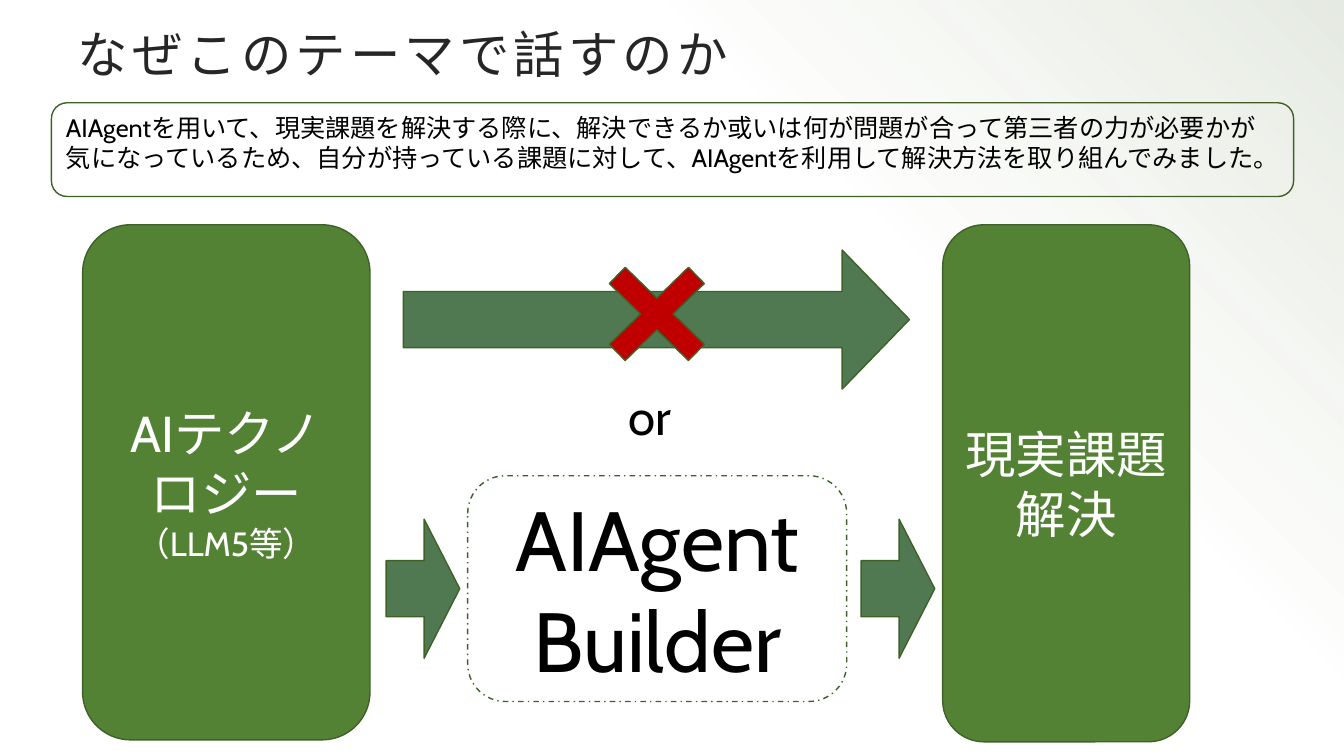
from dataclasses import dataclass, field
from lxml.etree import SubElement
from pptx import Presentation
from pptx.dml.color import RGBColor
from pptx.enum.dml import MSO_LINE
from pptx.enum.shapes import MSO_SHAPE
from pptx.enum.text import MSO_ANCHOR, PP_ALIGN
from pptx.oxml.ns import qn
from pptx.util import Inches, Pt

WIDTH, HEIGHT = Inches(13.33), Inches(7.5)
GREEN, DARK_GREEN, ARROW_GREEN = "548235", "3F6128", "507952"
RED, BLACK, WHITE, GREY = "C00000", "000000", "FFFFFF", "262626"
BOX_TOP, ARROW_HEIGHT = 29.73, 18.4
STEP_TOP, STEP_WIDTH = 68.67, 5.48
ARROW_ADJ = (0.404, 0.484)


@dataclass
class Area:
    left: float
    top: float
    width: float
    height: float

    def emu(self) -> tuple[int, int, int, int]:
        return (int(WIDTH * self.left / 100), int(HEIGHT * self.top / 100),
                int(WIDTH * self.width / 100), int(HEIGHT * self.height / 100))


@dataclass
class Text:
    lines: list[tuple[str, float]]
    color: str = BLACK
    font: str = "Cabin"
    align: PP_ALIGN = PP_ALIGN.LEFT
    anchor: MSO_ANCHOR = MSO_ANCHOR.TOP
    spacing: int = 0


@dataclass
class Block:
    area: Area
    kind: MSO_SHAPE = MSO_SHAPE.ROUNDED_RECTANGLE
    fill: str | None = None
    line: dict = field(default_factory=lambda: {"width": Pt(1)})
    adjustments: tuple[float, ...] = ()
    text: Text | None = None


def rgb(value: str) -> RGBColor:
    return RGBColor.from_string(value)


def apply(target, values: dict) -> None:
    for name, value in values.items():
        setattr(target, name, value)


def write(sp, text: Text) -> None:
    tf = sp.text_frame
    apply(tf, {"word_wrap": True, "vertical_anchor": text.anchor})
    for i, (line, size) in enumerate(text.lines):
        p = tf.add_paragraph() if i else tf.paragraphs[0]
        p.alignment = text.align
        r = p.add_run()
        r.text = line
        apply(r.font, {"name": text.font, "size": Pt(size)})
        r.font.color.rgb = rgb(text.color)
        if text.spacing:
            r._r.get_or_add_rPr().set("spc", str(text.spacing))


def add_label(s, area: Area, text: Text) -> None:
    write(s.shapes.add_textbox(*area.emu()), text)


def add_block(s, block: Block) -> None:
    sp = s.shapes.add_shape(block.kind, *block.area.emu())
    sp.shadow.inherit = False
    for i, value in enumerate(block.adjustments):
        sp.adjustments[i] = value
    if block.fill:
        sp.fill.solid()
        sp.fill.fore_color.rgb = rgb(block.fill)
    else:
        sp.fill.background()
    sp.line.color.rgb = rgb(DARK_GREEN)
    apply(sp.line, block.line)
    if block.text:
        write(sp, block.text)


def add_wash(s, area: Area) -> None:
    sp = s.shapes.add_shape(MSO_SHAPE.RECTANGLE, *area.emu())
    sp.shadow.inherit = False
    sp.line.fill.background()
    sp.fill.gradient()
    grad = sp._element.spPr.find(qn("a:gradFill"))
    for child in list(grad):
        grad.remove(child)
    stops = SubElement(grad, qn("a:gsLst"))
    for pos, color, alpha in ((0, DARK_GREEN, 13), (47, GREEN, 0)):
        stop = SubElement(stops, qn("a:gs"), pos=str(pos * 1000))
        clr = SubElement(stop, qn("a:srgbClr"), val=color)
        SubElement(clr, qn("a:alpha"), val=str(alpha * 1000))
    shade = SubElement(grad, qn("a:path"), path="circle")
    SubElement(shade, qn("a:fillToRect"), l="100000", b="100000")


def centred(lines: list[tuple[str, float]], color: str) -> Text:
    return Text(lines, color, align=PP_ALIGN.CENTER, anchor=MSO_ANCHOR.MIDDLE)


def arrow(left: float, top: float, width: float) -> Block:
    return Block(Area(left, top, width, ARROW_HEIGHT), MSO_SHAPE.RIGHT_ARROW,
                 ARROW_GREEN, adjustments=ARROW_ADJ)


PURPOSE = ("AIAgentを用いて、現実課題を解決する際に、解決できるか或いは何が問題が合って"
           "第三者の力が必要かが気になっているため、自分が持っている課題に対して、"
           "AIAgentを利用して解決方法を取り組んでみました。")

BLOCKS = [
    Block(Area(34.8, 62.93, 28.2, 29.87),
          line={"width": Pt(1), "dash_style": MSO_LINE.DASH_DOT},
          text=centred([("AIAgent Builder", 60)], BLACK)),
    Block(Area(6.15, BOX_TOP, 21.38, 68.13), fill=GREEN,
          text=centred([("AIテクノロジー", 36), ("（LLM5等）", 24)], WHITE)),
    Block(Area(70.14, BOX_TOP, 18.38, 68.4), fill=GREEN,
          text=centred([("現実課題解決", 36)], WHITE)),
    Block(Area(3.83, 13.6, 92.42, 12.4), text=Text([(PURPOSE, 18)])),
    arrow(28.73, STEP_TOP, STEP_WIDTH),
    arrow(64.07, STEP_TOP, STEP_WIDTH),
    arrow(30.01, 33.07, 37.66),
    Block(Area(43.21, 31.73, 11.33, 19.6), MSO_SHAPE.MATH_MULTIPLY, RED,
          adjustments=(0.153,)),
]


def main() -> None:
    prs = Presentation()
    apply(prs, {"slide_width": WIDTH, "slide_height": HEIGHT})
    s = prs.slides.add_slide(prs.slide_layouts[6])
    add_wash(s, Area(46.59, 0, 53.41, 100))
    add_label(s, Area(5.03, 1.47, 90.02, 10.27),
              Text([("なぜこのテーマで話すのか", 36)], GREY, "Karla",
                   anchor=MSO_ANCHOR.BOTTOM, spacing=300))
    for block in BLOCKS:
        add_block(s, block)
    add_label(s, Area(46.06, 50.4, 5.63, 9.47), Text([("or", 35.1)]))
    prs.save("out.pptx")


if __name__ == "__main__":
    main()
